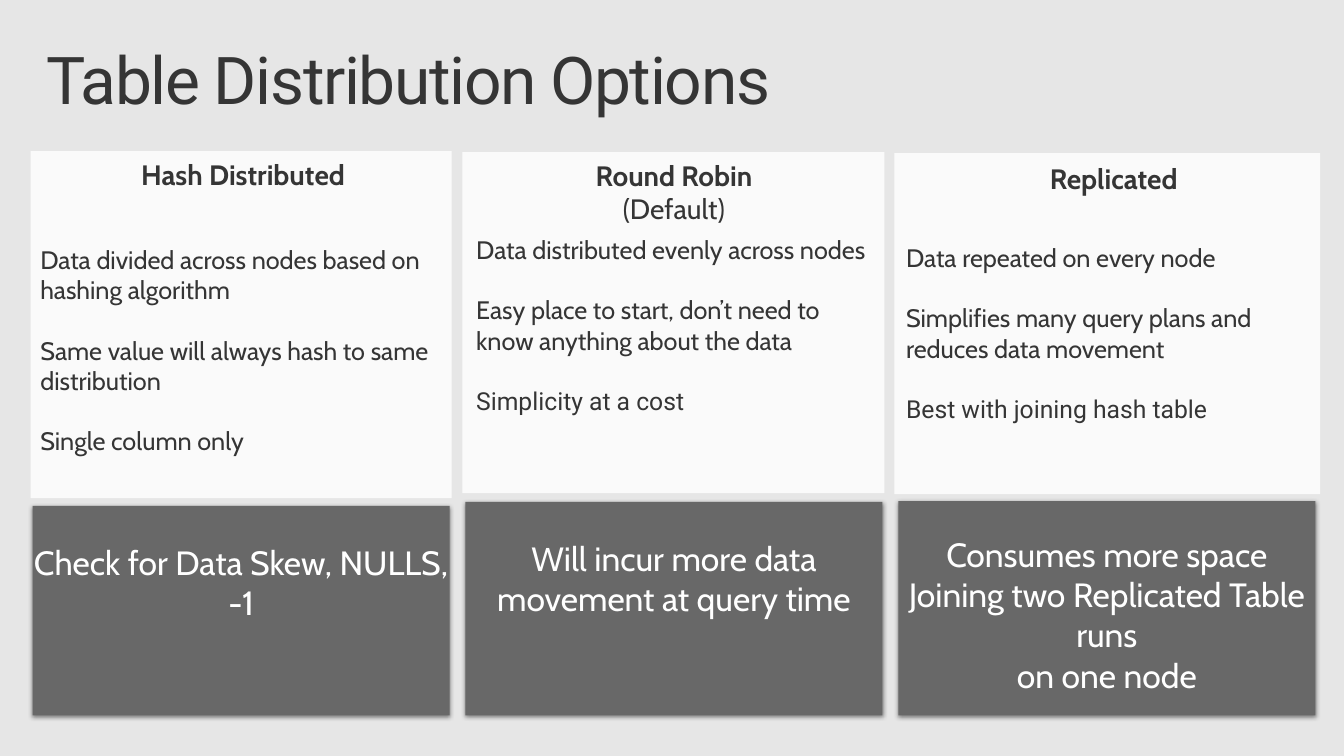
"""Build the slide on table distribution options."""
from lxml import etree
from pptx import Presentation, util as u
from pptx.dml.color import RGBColor
from pptx.enum import shapes, text
from pptx.oxml.ns import qn

INK, PALE, DARK = "353535", "FAFAFA", "686868"
deck = Presentation()
deck.slide_width, deck.slide_height = u.Inches(13.6), u.Inches(7.65)
slide = deck.slides.add_slide(deck.slide_layouts[6])
slide.background.fill.solid()
slide.background.fill.fore_color.rgb = RGBColor.from_string("E6E6E6")


def block(area, fill):
    """Draw a plain filled rectangle."""
    box = slide.shapes.add_shape(shapes.MSO_SHAPE.RECTANGLE, *map(u.Inches, area))
    box.shadow.inherit = False
    box.fill.solid()
    box.fill.fore_color.rgb = RGBColor.from_string(fill)
    box.line.fill.background()
    return box


def write(lines, area=None, box=None, size=18.4, font="Cabin", color=INK,
          center=False, gap=0, pad=(0.1, 0.05), lead=None, track=None):
    """Write lines, each a text with its own font changes."""
    box = box or slide.shapes.add_textbox(*map(u.Inches, area))
    frame = box.text_frame
    frame.word_wrap = True
    frame.vertical_anchor = text.MSO_ANCHOR.TOP
    frame.margin_left = frame.margin_right = u.Inches(pad[0])
    frame.margin_top, frame.margin_bottom = u.Inches(pad[1]), u.Inches(0.05)
    for num, (words, look) in enumerate(lines):
        para = frame.add_paragraph() if num else frame.paragraphs[0]
        para.alignment = text.PP_ALIGN.CENTER if center else text.PP_ALIGN.LEFT
        para.space_before = u.Pt(gap if num else 0)
        if lead:
            para.line_spacing = lead
        run = para.add_run()
        run.text = words
        run.font.name = look.get("font", font)
        run.font.size = u.Pt(look.get("size", size))
        run.font.bold = look.get("bold", False)
        run.font.color.rgb = RGBColor.from_string(color)
        if track:
            run.font._element.set("spc", str(track))


write([("Table Distribution Options", {})], (0.31, 0.38, 11.72, 1.13),
      size=48, font="Roboto", pad=(0.16, 0.1), lead=0.9, track=-100)

BOLD, LAST = {"bold": True}, {"font": "Roboto", "size": 18}
cols = [
    dict(top=1.53, wide=4.26, end=5.04, head=(0.46, 1.54, 4, 0.45),
         body=(0.31, 2.42, 4.26, 2.62), foot=5.12, drop=0.36,
         name=[("Hash Distributed", BOLD)],
         facts=[("Data divided across nodes based on hashing algorithm", {}),
                ("Same value will always hash to same distribution", {}),
                ("Single column only", {})],
         costs=["Check for Data Skew, NULLS, -1"]),
    dict(top=1.54, wide=4.27, end=4.99, head=(5.02, 1.55, 3.6, 0.8),
         body=(4.72, 2.32, 4.22, 2.3), foot=5.08, drop=0.36,
         name=[("Round Robin", BOLD), ("(Default)", {})],
         facts=[("Data distributed evenly across nodes", {}),
                ("Easy place to start, don’t need to know anything about the data", {}),
                ("Simplicity at a cost", LAST)],
         costs=["Will incur more data movement at query time"]),
    dict(top=1.55, wide=4.31, end=5, head=(9.28, 1.59, 3.98, 0.44),
         body=(9.07, 2.4, 4.31, 1.99), foot=5.07, drop=0.33,
         name=[("Replicated", BOLD)],
         facts=[("Data repeated on every node", {}),
                ("Simplifies many query plans and reduces data movement", {}),
                ("Best with joining hash table", LAST)],
         costs=["Consumes more space", "Joining two Replicated Table runs", "on one node"]),
]
SPLIT, BASE = 2.35, 7.24
for num, col in enumerate(cols):
    left = 0.31 + 4.37 * num
    block((left, col["top"], col["wide"], SPLIT - col["top"]), PALE)
    block((left, SPLIT, col["wide"], col["end"] - SPLIT), PALE)
    write(col["name"], col["head"], size=20.4, center=True)
    write(col["facts"], col["body"], gap=22)

    card = block((0.33 + 4.38 * num, col["foot"], 4.22, BASE - col["foot"]), DARK)
    glow = card._element.spPr.find(qn("a:effectLst"))
    shade = etree.SubElement(glow, qn("a:outerShdw"), blurRad=str(u.Pt(3.5)),
                             dist=str(u.Pt(1.1)), dir="5400000", rotWithShape="0")
    tint = etree.SubElement(shade, qn("a:srgbClr"), val="000000")
    etree.SubElement(tint, qn("a:alpha"), val="45000")
    write([(line, {}) for line in col["costs"]], box=card, size=24.5,
          color="FFFFFF", center=True, pad=(0, col["drop"]))

deck.save("out.pptx")
